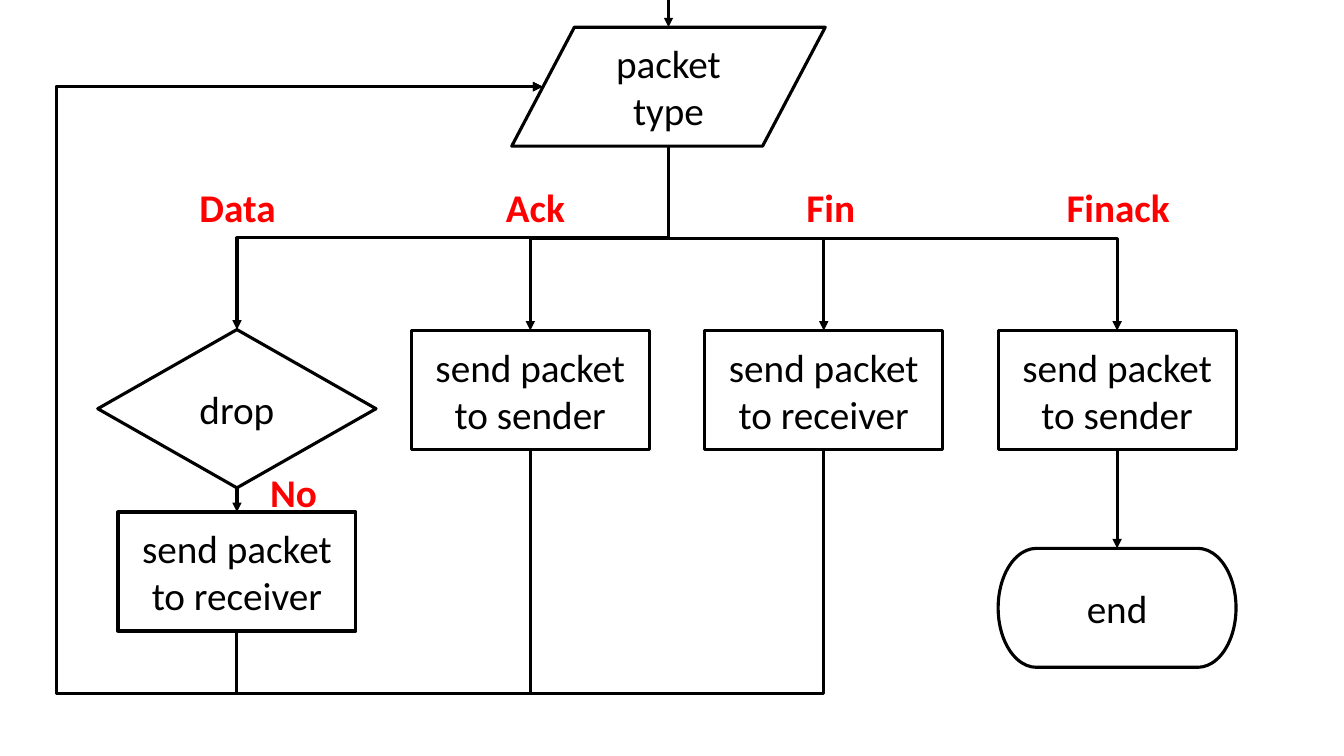
from dataclasses import dataclass
from typing import Any

import pptx
import pptx.dml.color
import pptx.enum.shapes
import pptx.enum.text
import pptx.oxml
import pptx.oxml.ns
import pptx.util
from pptx.util import Inches

BLACK = pptx.dml.color.RGBColor(0, 0, 0)
WHITE = pptx.dml.color.RGBColor(255, 255, 255)
RED = pptx.dml.color.RGBColor(255, 0, 0)
FONT = {"name": "Calibri", "size": pptx.util.Pt(28)}
STEP_FORMAT = {"vertical_anchor": pptx.enum.text.MSO_ANCHOR.MIDDLE, "word_wrap": True}
LABEL_FORMAT = {"auto_size": pptx.enum.text.MSO_AUTO_SIZE.SHAPE_TO_FIT_TEXT, "word_wrap": False}
SHAPE = pptx.enum.shapes.MSO_SHAPE
CONNECTOR = pptx.enum.shapes.MSO_CONNECTOR

DATA, ACK, FIN, FINACK = (2.35 + 2.91 * column for column in range(4))
ENTRY = 6.63
ACTION_TOP = 3.28
STEP_WIDTH, STEP_HEIGHT = 2.36, 1.18
RETURN_X, RETURN_Y = 0.56, 6.88


@dataclass(frozen=True)
class Step:
    text: str
    center: float
    top: float
    kind: Any = SHAPE.FLOWCHART_PROCESS
    width: float = STEP_WIDTH
    height: float = STEP_HEIGHT

    @property
    def bottom(self) -> float:
        return self.top + self.height


@dataclass(frozen=True)
class Label:
    text: str
    left: float
    width: float
    top: float = 1.77


@dataclass(frozen=True)
class Point:
    x: float
    y: float


packet_type = Step("packet type", ENTRY, 0.27, SHAPE.FLOWCHART_DATA, 3.11)
drop = Step("drop", DATA, 3.27, SHAPE.FLOWCHART_DECISION, 2.76, 1.57)
forward_data = Step("send packet to receiver", DATA, 5.08)
return_ack = Step("send packet to sender", ACK, ACTION_TOP)
forward_fin = Step("send packet to receiver", FIN, ACTION_TOP)
return_finack = Step("send packet to sender", FINACK, ACTION_TOP)
end = Step("end", FINACK, 5.44, SHAPE.FLOWCHART_TERMINATOR)
STEPS = (packet_type, drop, forward_data, return_ack, forward_fin, return_finack, end)
BRANCHES = (drop, return_ack, forward_fin, return_finack)
RETURNING = (forward_data, return_ack, forward_fin)
LABELS = (
    Label("Data", 1.88, 0.97),
    Label("Ack", 4.92, 0.79),
    Label("Fin", 7.9, 0.69),
    Label("Finack", 10.48, 1.24),
    Label("No", 2.58, 0.67, 4.6),
)


def apply(target: Any, values: dict[str, Any]) -> None:
    for attribute, value in values.items():
        setattr(target, attribute, value)


def write(frame: Any, text: str, color: Any, bold: bool, layout: dict[str, Any]) -> None:
    apply(frame, layout)
    run = frame.paragraphs[0].add_run()
    run.text = text
    apply(run.font, FONT | {"bold": bold})
    run.font.color.rgb = color


def outline(line: Any) -> None:
    line.width = pptx.util.Pt(2.25)
    line.fill.solid()
    line.fill.fore_color.rgb = BLACK


def draw_step(slide: Any, step: Step) -> None:
    box = slide.shapes.add_shape(
        step.kind, Inches(step.center - step.width / 2), Inches(step.top),
        Inches(step.width), Inches(step.height))
    box.shadow.inherit = False
    box.fill.solid()
    box.fill.fore_color.rgb = WHITE
    outline(box.line)
    write(box.text_frame, step.text, BLACK, False, STEP_FORMAT)
    box.text_frame.paragraphs[0].alignment = pptx.enum.text.PP_ALIGN.CENTER


def draw_label(slide: Any, label: Label) -> None:
    box = slide.shapes.add_textbox(
        Inches(label.left), Inches(label.top), Inches(label.width), Inches(0.57))
    write(box.text_frame, label.text, RED, True, LABEL_FORMAT)


def draw_arrow(slide: Any, start: Point, finish: Point, kind: Any = CONNECTOR.STRAIGHT) -> Any:
    arrow = slide.shapes.add_connector(
        kind, Inches(start.x), Inches(start.y), Inches(finish.x), Inches(finish.y))
    outline(arrow.line)
    properties = arrow._element.spPr
    head = pptx.oxml.parse_xml(f'<a:tailEnd {pptx.oxml.ns.nsdecls("a")} type="triangle"/>')
    properties.find(pptx.oxml.ns.qn("a:ln")).append(head)
    properties.append(pptx.oxml.parse_xml(f'<a:effectLst {pptx.oxml.ns.nsdecls("a")}/>'))
    return arrow


def draw_elbow(slide: Any, start: Point, finish: Point, preset: str, turns: tuple[float, ...]) -> None:
    arrow = draw_arrow(slide, start, finish, CONNECTOR.ELBOW)
    across, down = finish.x - start.x, finish.y - start.y
    width, height = abs(down), abs(across)
    apply(arrow, {
        "left": Inches((start.x + finish.x - width) / 2),
        "top": Inches((start.y + finish.y - height) / 2),
        "width": Inches(width),
        "height": Inches(height),
    })
    properties = arrow._element.spPr
    frame = properties.find(pptx.oxml.ns.qn("a:xfrm"))
    frame.set("rot", "5400000")
    frame.set("flipH", str(int(down < 0)))
    frame.set("flipV", str(int(across > 0)))
    guides = "".join(
        f'<a:gd name="adj{number}" fmla="val {round(turn * 100000)}"/>'
        for number, turn in enumerate(turns, 1))
    properties.replace(properties.find(pptx.oxml.ns.qn("a:prstGeom")), pptx.oxml.parse_xml(
        f'<a:prstGeom {pptx.oxml.ns.nsdecls("a")} prst="{preset}">'
        f"<a:avLst>{guides}</a:avLst></a:prstGeom>"))


def draw_return(slide: Any, step: Step, finish: Point) -> None:
    start = Point(step.center, step.bottom)
    turns = (
        (RETURN_Y - start.y) / (finish.y - start.y),
        (RETURN_X - start.x) / (finish.x - start.x),
    )
    draw_elbow(slide, start, finish, "bentConnector4", turns)


presentation = pptx.Presentation()
apply(presentation, {"slide_width": Inches(13.33), "slide_height": Inches(7.5)})
slide = presentation.slides.add_slide(presentation.slide_layouts[6])

for step in STEPS:
    draw_step(slide, step)
for branch in BRANCHES:
    draw_elbow(slide, Point(ENTRY, packet_type.bottom), Point(branch.center, branch.top),
               "bentConnector3", (0.5,))
for step in RETURNING:
    draw_return(slide, step, Point(5.38, 0.86))
for upper, lower in ((drop, forward_data), (return_finack, end)):
    draw_arrow(slide, Point(upper.center, upper.bottom), Point(lower.center, lower.top))
draw_arrow(slide, Point(ENTRY, -0.3), Point(ENTRY, packet_type.top))
for label in LABELS:
    draw_label(slide, label)

presentation.save("out.pptx")
